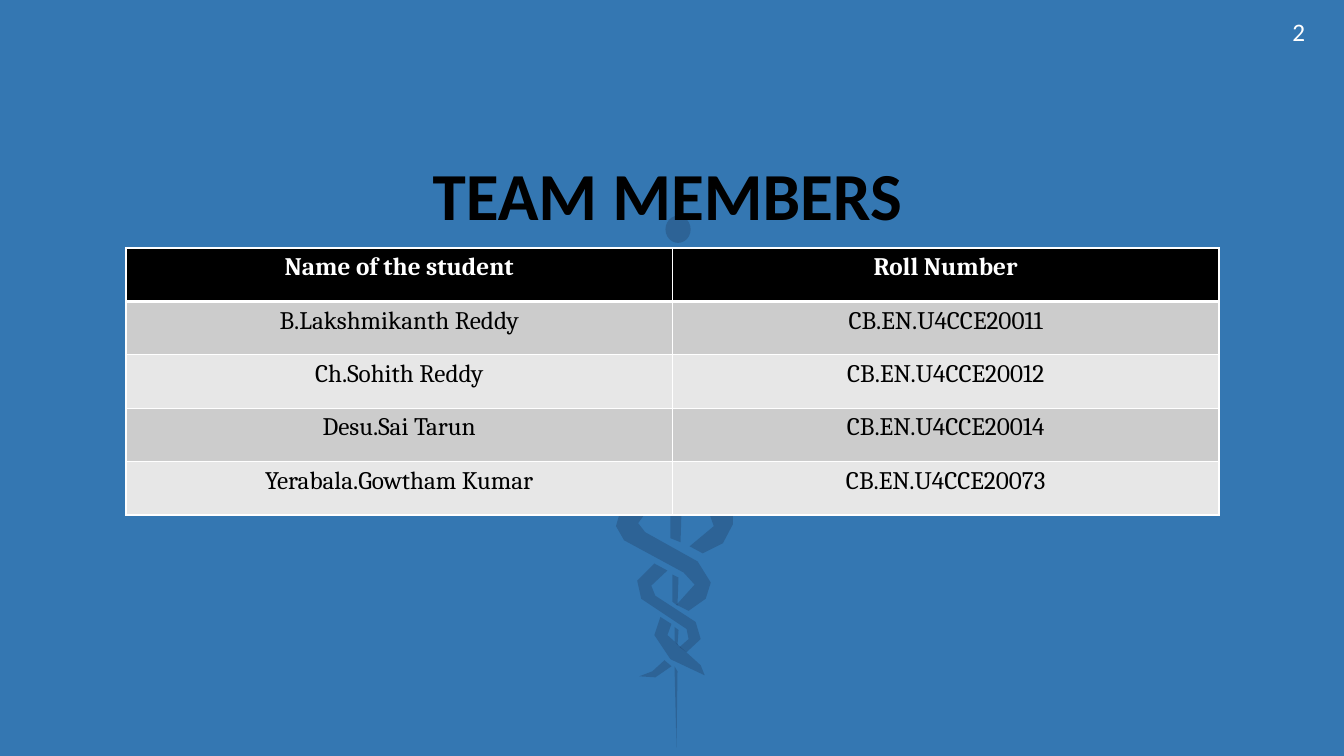
import pptx
import pptx.util
import pptx.dml.color
import pptx.enum.shapes
import pptx.enum.text
import pptx.oxml
import pptx.oxml.ns

Inches = pptx.util.Inches
Pt = pptx.util.Pt
RGB = pptx.dml.color.RGBColor
ALIGN = pptx.enum.text.PP_ALIGN
ANCHOR = pptx.enum.text.MSO_ANCHOR

BLUE = RGB(0x34, 0x77, 0xB2)
NAVY = RGB(0x12, 0x14, 0x29)
BLACK = RGB(0, 0, 0)
WHITE = RGB(0xFF, 0xFF, 0xFF)
GRAY = RGB(0xCC, 0xCC, 0xCC)
PALE = RGB(0xE7, 0xE7, 0xE7)

ROWS = [
    ("Name of the student", "Roll Number"),
    ("B.Lakshmikanth Reddy", "CB.EN.U4CCE20011"),
    ("Ch.Sohith Reddy", "CB.EN.U4CCE20012"),
    ("Desu.Sai Tarun", "CB.EN.U4CCE20014"),
    ("Yerabala.Gowtham Kumar", "CB.EN.U4CCE20073"),
]

# Staff pieces in hundredths of an inch: left, top, width, height, slant
STAFF = [(665, 509, 11, 25, -4), (667, 570, 6, 27, 3), (669, 622, 4, 14, 3)]

# Outlines of the tip and snakes, in hundredths of an inch
SNAKES = {
    "tip": [(671, 742), (669, 661), (672, 666)],
    "left tail": [(634, 671), (647, 666), (659, 655), (666, 661), (650, 672)],
    "lower coil": [(681, 647), (695, 634), (690, 617), (650, 591), (646, 581),
                   (662, 566), (649, 559), (632, 576), (636, 594), (681, 624),
                   (683, 634), (674, 642)],
    "right bend": [(697, 549), (717, 539), (727, 520), (727, 508), (703, 508),
                   (708, 522), (684, 542)],
    "right tail": [(699, 670), (665, 654), (649, 630), (655, 612), (666, 619),
                   (662, 630), (695, 660)],
    "upper coil": [(683, 606), (700, 594), (705, 578), (692, 557), (640, 528),
                   (633, 519), (641, 508), (615, 508), (611, 522), (619, 536),
                   (678, 568), (689, 580), (671, 600)],
}


def write(frame, text, size=18, font="Cambria", color=BLACK, bold=False,
          align=ALIGN.CENTER):
    para = frame.paragraphs[0]
    para.alignment = align
    run = para.add_run()
    run.text = text
    run.font.size = Pt(size)
    run.font.name = font
    run.font.bold = bold
    run.font.color.rgb = color


def add_text(slide, left, top, width, height, text, anchor=ANCHOR.TOP,
             **style):
    box = slide.shapes.add_textbox(
        Inches(left), Inches(top), Inches(width), Inches(height))
    frame = box.text_frame
    frame.word_wrap = True
    frame.vertical_anchor = anchor
    write(frame, text, **style)
    return frame


def tint(shape):
    """Fill with navy at 20 percent, without line or shadow."""
    shape.shadow.inherit = False
    shape.line.fill.background()
    shape.fill.solid()
    shape.fill.fore_color.rgb = NAVY
    color = shape.element.xpath(".//a:solidFill/a:srgbClr")[0]
    alpha = pptx.oxml.parse_xml(
        f'<a:alpha {pptx.oxml.ns.nsdecls("a")} val="20000"/>')
    color.append(alpha)


def add_form(slide, points):
    form = slide.shapes.build_freeform(*points[0], scale=Inches(1) / 100)
    form.add_line_segments(points[1:], close=True)
    tint(form.convert_to_shape())


def add_staff(slide):
    for left, top, width, height, slant in STAFF:
        right, base = left + width, top + height
        add_form(slide, [(left, top), (right, top + slant),
                         (right - 1, base + 4), (left, base)])
    for points in SNAKES.values():
        add_form(slide, points)
    tint(slide.shapes.add_shape(
        pptx.enum.shapes.MSO_SHAPE.OVAL,
        Inches(6.6), Inches(2.14), Inches(0.25), Inches(0.27)))


def add_edge(cell, side, width):
    edge = pptx.oxml.parse_xml(
        f'<a:{side} {pptx.oxml.ns.nsdecls("a")} w="{Pt(width)}">'
        f'<a:solidFill><a:srgbClr val="{WHITE}"/></a:solidFill></a:{side}>')
    cell._tc.get_or_add_tcPr().append(edge)


def add_grid(slide):
    high, wide = 0.53, 5.42
    grid = slide.shapes.add_table(
        len(ROWS), 2, Inches(1.25), Inches(2.46),
        Inches(2 * wide), Inches(len(ROWS) * high)).table
    for col in grid.columns:
        col.width = Inches(wide)
    for i, row in enumerate(ROWS):
        grid.rows[i].height = Inches(high)
        head = i == 0
        for j, text in enumerate(row):
            cell = grid.cell(i, j)
            for side in ("lnL", "lnR", "lnT", "lnB"):
                thick = (head and side == "lnB") or (i == 1 and side == "lnT")
                add_edge(cell, side, 3 if thick else 1)
            cell.fill.solid()
            cell.fill.fore_color.rgb = (
                BLACK if head else GRAY if i % 2 else PALE)
            write(cell.text_frame, text, bold=head,
                  color=WHITE if head else BLACK)


def main():
    deck = pptx.Presentation()
    deck.slide_width = Inches(13.33)
    deck.slide_height = Inches(7.5)
    slide = deck.slides.add_slide(deck.slide_layouts[6])
    slide.background.fill.solid()
    slide.background.fill.fore_color.rgb = BLUE

    # Staff with snakes
    add_staff(slide)

    # Title
    title = add_text(slide, 0.62, 0.32, 12, 2, "TEAM MEMBERS", ANCHOR.BOTTOM,
                     size=48, font="Calibri", bold=True)
    title.margin_left = title.margin_right = Inches(0.05)
    title.margin_top = title.margin_bottom = 0

    # Team table
    add_grid(slide)

    # Page number
    add_text(slide, 12.72, 0.11, 0.6, 0.4, "2", font="Calibri", color=WHITE,
             align=ALIGN.LEFT)
    deck.save("out.pptx")


if __name__ == "__main__":
    main()
